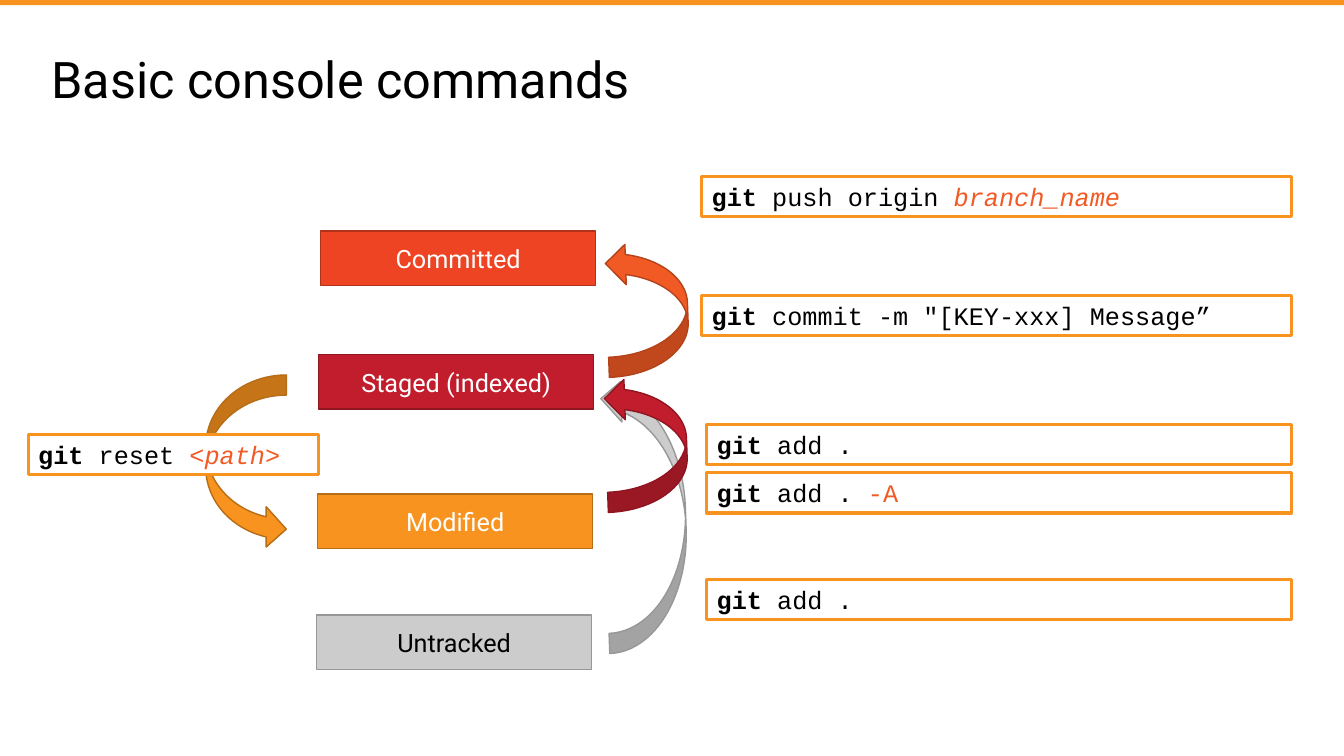
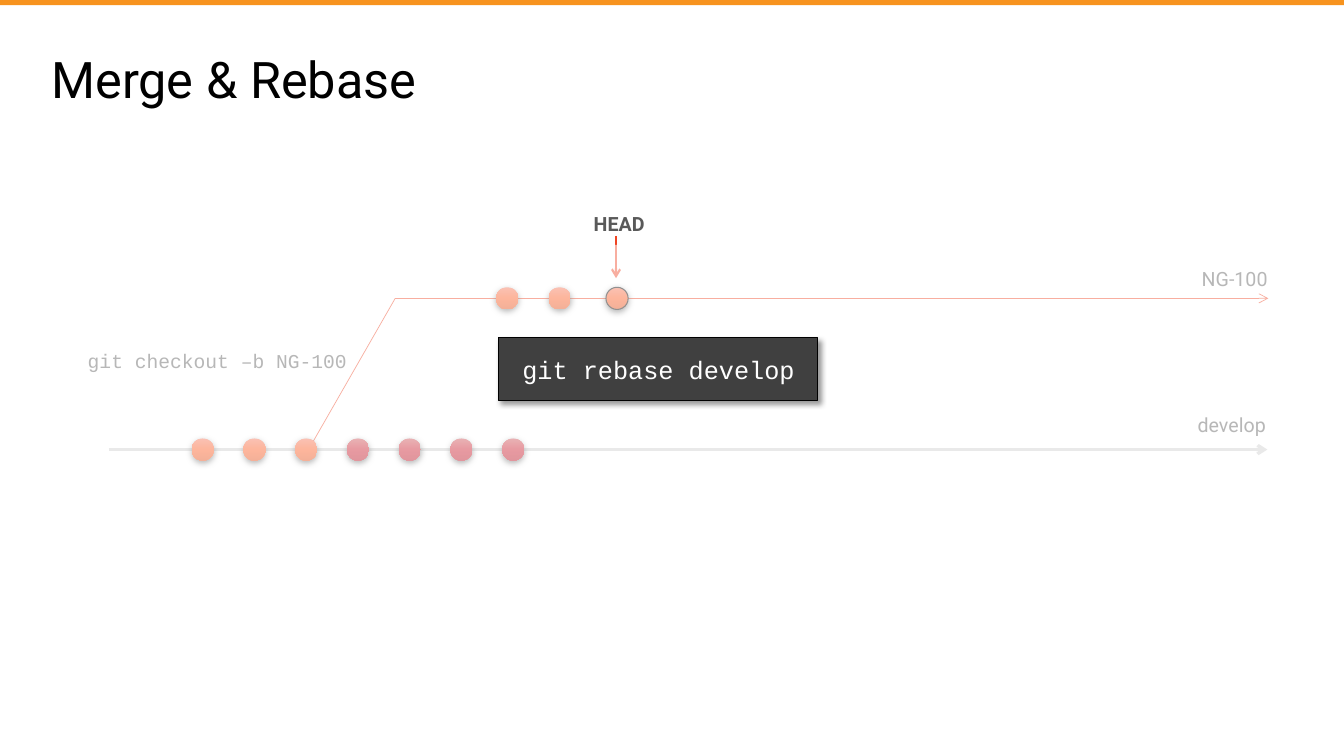
import copy

import pptx
import pptx.dml.color
import pptx.enum.shapes
import pptx.enum.text
import pptx.oxml.ns
import pptx.util
from lxml import etree

Inches = pptx.util.Inches
Pt = pptx.util.Pt
RGBColor = pptx.dml.color.RGBColor
Preset = pptx.enum.shapes.MSO_SHAPE
Align = pptx.enum.text.PP_ALIGN
Anchor = pptx.enum.text.MSO_ANCHOR
qn = pptx.oxml.ns.qn

BLACK = RGBColor(0x00, 0x00, 0x00)
WHITE = RGBColor(0xFF, 0xFF, 0xFF)
CHARCOAL = RGBColor(0x40, 0x40, 0x40)
SLATE = RGBColor(0x59, 0x59, 0x59)
SILVER = RGBColor(0xCC, 0xCC, 0xCC)
SILVER_EDGE = RGBColor(0x97, 0x97, 0x97)
AMBER = RGBColor(0xF7, 0x93, 0x1E)
AMBER_EDGE = RGBColor(0xB7, 0x6D, 0x16)
CRIMSON = RGBColor(0xC1, 0x1D, 0x2D)
CRIMSON_EDGE = RGBColor(0x8F, 0x15, 0x21)
RED = RGBColor(0xEF, 0x44, 0x23)
RED_EDGE = RGBColor(0xB1, 0x32, 0x1A)
ORANGE = RGBColor(0xF1, 0x5A, 0x24)
ORANGE_EDGE = RGBColor(0xB2, 0x43, 0x1B)
ORANGE_GLOSS = (RGBColor(0xF5, 0x70, 0x51), RGBColor(0xFB, 0x55, 0x1A), RGBColor(0xE5, 0x49, 0x11))
CRIMSON_GLOSS = (RGBColor(0xCB, 0x4E, 0x53), RGBColor(0xC9, 0x15, 0x26), RGBColor(0xBA, 0x0B, 0x1C))

SANS = "Roboto"
MONO = "Courier New"
PROMPT_INSETS = (0.24, 0.16, 0.16, 0.16)


class Deck:
    width, height = 13.33, 7.5

    def __init__(self):
        self.presentation = pptx.Presentation()
        self.presentation.slide_width = Inches(self.width)
        self.presentation.slide_height = Inches(self.height)
        self.slide = None

    def start_slide(self, heading):
        self.slide = self.presentation.slides.add_slide(self.presentation.slide_layouts[5])
        title = self.slide.shapes.title
        title.left, title.top, title.width, title.height = map(Inches, (0.41, 0.4, 12.52, 0.83))
        self.set_text(title, [(heading, {})], size=36, anchor=Anchor.MIDDLE)
        title.text_frame.paragraphs[0].line_spacing = 0.9
        self.box((0, 0, self.width, 0.05), AMBER)

    def set_text(self, shape, pieces, size=18, font=SANS, color=BLACK, align=Align.LEFT,
                 anchor=Anchor.TOP, insets=(0.1, 0.05, 0.1, 0.05)):
        frame = shape.text_frame
        frame.word_wrap = True
        frame.vertical_anchor = anchor
        (frame.margin_left, frame.margin_top,
         frame.margin_right, frame.margin_bottom) = map(Inches, insets)
        paragraph = frame.paragraphs[0]
        paragraph.alignment = align
        for words, style in pieces:
            run = paragraph.add_run()
            run.text = words
            run.font.size = Pt(size)
            run.font.name = font
            run.font.bold = style.get("bold", False)
            run.font.italic = style.get("italic", False)
            run.font.color.rgb = style.get("color", color)

    def box(self, area, fill=None, edge=None, weight=1, preset=Preset.RECTANGLE):
        shape = self.slide.shapes.add_shape(preset, *map(Inches, area))
        shape.shadow.inherit = False
        if fill is not None:
            shape.fill.solid()
            shape.fill.fore_color.rgb = fill
        if edge is None:
            shape.line.fill.background()
        else:
            shape.line.color.rgb = edge
            shape.line.width = Pt(weight)
        return shape

    def cast_shadow(self, shape, opacity, blur, distance, angle):
        effects = shape.element.spPr.find(qn("a:effectLst"))
        shadow = etree.SubElement(
            effects, qn("a:outerShdw"), blurRad=str(Pt(blur)), dist=str(Pt(distance)),
            dir=str(angle * 60000), algn="ctr", rotWithShape="0")
        tint = etree.SubElement(shadow, qn("a:srgbClr"), val=str(BLACK))
        etree.SubElement(tint, qn("a:alpha"), val=str(opacity * 1000))

    def label(self, area, words, bold=False, **style):
        label = self.slide.shapes.add_textbox(*map(Inches, area))
        self.set_text(label, [(words, {"bold": bold})], color=SLATE, size=14, **style)

    def state(self, left, top, name, fill, edge, color=WHITE):
        state = self.box((left, top, 2.73, 0.54), fill, edge)
        self.set_text(state, [(name, {})], color=color, align=Align.CENTER,
                      insets=(0.1, 0.12, 0.1, 0.12))

    def command(self, area, words, accent="", italic=False):
        command = self.box(area, WHITE, AMBER, 2.25)
        pieces = [("git ", {"bold": True}), (words, {})]
        if accent:
            pieces.append((accent, {"color": ORANGE, "italic": italic}))
        self.set_text(command, pieces, font=MONO)

    def curved_arrow(self, area, fill, edge, rotation=0):
        arrow = self.box(area, fill, edge, preset=Preset.CURVED_RIGHT_ARROW)
        arrow.rotation = rotation

    def commit(self, left, top, gloss, edge=None):
        commit = self.box((left, top, 0.22, 0.22), None, edge, 0.75, Preset.OVAL)
        commit.fill.gradient()
        commit.fill.gradient_angle = 270
        stops = commit.element.spPr.find(".//" + qn("a:gsLst"))
        stops.insert(1, copy.deepcopy(stops[0]))
        for index, stop in enumerate(commit.fill.gradient_stops):
            stop.color.rgb = gloss[index]
            stop.position = index / 2
        self.cast_shadow(commit, 63, 4.5, 1.5, 90)

    def line(self, start, end, color, weight, arrow=False):
        line = self.slide.shapes.add_connector(
            pptx.enum.shapes.MSO_CONNECTOR.STRAIGHT, *map(Inches, start + end))
        line.line.color.rgb = color
        line.line.width = Pt(weight)
        if arrow:
            etree.SubElement(line.element.spPr.find(qn("a:ln")), qn("a:tailEnd"), type="arrow")
        etree.SubElement(line.element.spPr, qn("a:effectLst"))

    def veil(self, area, opacity):
        veil = self.box(area, WHITE)
        tint = veil.element.spPr.find(qn("a:solidFill")).find(qn("a:srgbClr"))
        etree.SubElement(tint, qn("a:alpha"), val=str(opacity * 1000))

    def prompt(self, area, words):
        prompt = self.box(area, CHARCOAL, BLACK, 0.75)
        self.cast_shadow(prompt, 40, 4, 3, 45)
        self.set_text(prompt, [(words, {})], font=MONO, color=WHITE,
                      anchor=Anchor.MIDDLE, insets=PROMPT_INSETS)


def console_commands(deck):
    deck.start_slide("Basic console commands")
    deck.state(3.14, 6.1, "Untracked", SILVER, SILVER_EDGE, BLACK)
    deck.state(3.15, 4.9, "Modified", AMBER, AMBER_EDGE)
    deck.state(3.16, 3.52, "Staged (indexed)", CRIMSON, CRIMSON_EDGE)
    deck.state(3.18, 2.29, "Committed", RED, RED_EDGE)

    deck.curved_arrow((6, 3.74, 0.8, 2.73), SILVER, SILVER_EDGE, 178)
    deck.curved_arrow((6.01, 3.74, 0.8, 1.33), CRIMSON, CRIMSON_EDGE, 178)
    deck.curved_arrow((6.02, 2.4, 0.8, 1.33), ORANGE, ORANGE_EDGE, 178)
    deck.curved_arrow((2.04, 3.72, 0.8, 1.73), AMBER, AMBER_EDGE)

    deck.command((6.96, 1.75, 5.85, 0.4), "push origin ", "branch_name", italic=True)
    deck.command((6.96, 2.93, 5.85, 0.4), "commit -m \"[KEY-xxx] Message”")
    deck.command((7.01, 4.21, 5.8, 0.4), "add .")
    deck.command((7.01, 4.69, 5.8, 0.4), "add . ", "-A")
    deck.command((7.01, 5.75, 5.8, 0.4), "add .")
    deck.command((0.28, 4.31, 2.88, 0.4), "reset ", "<path>", italic=True)


def merge_and_rebase(deck):
    deck.start_slide("Merge & Rebase")
    branch_y, develop_y = 2.96, 4.46

    deck.line((1.08, develop_y), (12.57, develop_y), SILVER, 2.25, arrow=True)
    deck.line((3.06, develop_y), (3.92, branch_y), RED, 0.5)
    deck.line((3.92, branch_y), (12.58, branch_y), RED, 0.5, arrow=True)
    deck.line((6.11, 2.34), (6.11, 2.76), RED, 1.5, arrow=True)

    develop_glosses = [ORANGE_GLOSS] * 3 + [CRIMSON_GLOSS] * 4
    for index, gloss in enumerate(develop_glosses):
        deck.commit(1.9 + index * 3.08 / 6, develop_y - 0.11, gloss)
    for left, edge in ((4.92, None), (5.44, None), (6.01, BLACK)):
        deck.commit(left, branch_y - 0.11, ORANGE_GLOSS, edge)

    deck.label((11.82, 2.6, 0.99, 0.34), "NG-100")
    deck.label((11.78, 4.05, 1.03, 0.34), "develop")
    deck.label((5.79, 2.05, 0.75, 0.34), "HEAD", bold=True)
    deck.label((0.63, 3.3, 2.99, 0.55), "git checkout –b NG-100", font=MONO,
               anchor=Anchor.MIDDLE, insets=PROMPT_INSETS)

    deck.veil((0, 2.43, deck.width, 4.26), 57)
    deck.prompt((4.94, 3.35, 3.17, 0.62), "git rebase develop")


def main():
    deck = Deck()
    console_commands(deck)
    merge_and_rebase(deck)
    deck.presentation.save("out.pptx")


if __name__ == "__main__":
    main()
